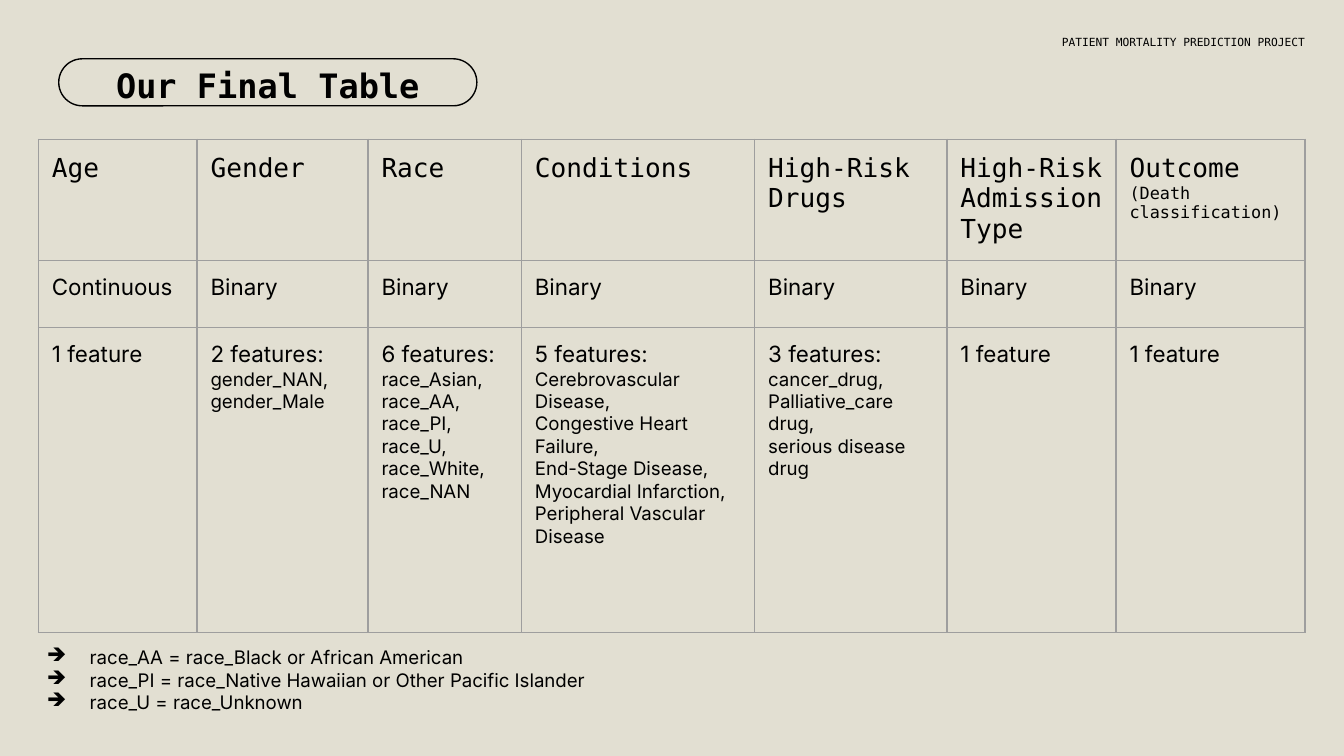
from dataclasses import dataclass

from lxml import etree
from pptx import Presentation
from pptx.dml.color import RGBColor
from pptx.enum.shapes import MSO_SHAPE
from pptx.enum.text import MSO_ANCHOR, PP_ALIGN
from pptx.oxml.ns import qn
from pptx.util import Pt

ROUNDED = MSO_SHAPE.ROUNDED_RECTANGLE
MIDDLE = MSO_ANCHOR.MIDDLE
CENTER = PP_ALIGN.CENTER
RIGHT = PP_ALIGN.RIGHT

MONO = "DejaVu Sans Mono"
SANS = "Inter"
INK = "000000"
PAPER = "E2DFD2"
GRID = "9E9E9E"
ROW_HEIGHTS = (56.2, 36, 163.4)


@dataclass(frozen=True)
class Column:
    width: float
    heading: str
    kind: str
    count: str
    features: tuple[str, ...] = ()
    subheading: str = ""


COLUMNS = (
    Column(85, "Age", "Continuous", "1 feature"),
    Column(91.6, "Gender", "Binary", "2 features:", ("gender_NAN, gender_Male",)),
    Column(82.2, "Race", "Binary", "6 features:",
           ("race_Asian,", "race_AA, race_PI, race_U,", "race_White, race_NAN")),
    Column(125, "Conditions", "Binary", "5 features:",
           ("Cerebrovascular Disease,", "Congestive Heart Failure,",
            "End-Stage Disease,", "Myocardial Infarction,",
            "Peripheral Vascular Disease")),
    Column(103, "High-Risk Drugs", "Binary", "3 features:",
           ("cancer_drug,", "Palliative_care drug,", "serious disease drug")),
    Column(90.6, "High-Risk Admission Type", "Binary", "1 feature"),
    Column(101.2, "Outcome", "Binary", "1 feature",
           subheading="(Death classification)"),
)
RACE_NOTES = (
    "race_AA = race_Black or African American",
    "race_PI = race_Native Hawaiian or Other Pacific Islander",
    "race_U = race_Unknown",
)


@dataclass(frozen=True)
class Line:
    text: str
    size: float
    font: str = SANS
    bold: bool = False


def rgb(value: str) -> RGBColor:
    return RGBColor.from_string(value)


def write(frame, lines: list[Line], align=None) -> None:
    """Fill a text frame with one paragraph per line."""
    frame.word_wrap = True
    for index, line in enumerate(lines):
        para = frame.add_paragraph() if index else frame.paragraphs[0]
        para.alignment = align
        span = para.add_run()
        span.text = line.text
        span.font.name = line.font
        span.font.size = Pt(line.size)
        span.font.bold = line.bold
        span.font.color.rgb = rgb(INK)


def set_margins(target, margin: float) -> None:
    target.margin_left = target.margin_right = Pt(margin)
    target.margin_top = target.margin_bottom = Pt(margin)


def add_text(page, left: float, top: float, width: float, height: float,
             lines: list[Line], align=None):
    frame = page.shapes.add_textbox(
        Pt(left), Pt(top), Pt(width), Pt(height)).text_frame
    set_margins(frame, 7.2)
    write(frame, lines, align)
    return frame


def add_arrow_bullet(para) -> None:
    properties = para._p.get_or_add_pPr()
    properties.set("marL", str(Pt(36)))
    properties.set("indent", str(Pt(-23)))
    color = etree.SubElement(properties, qn("a:buClr"))
    etree.SubElement(color, qn("a:srgbClr"), val=INK)
    etree.SubElement(properties, qn("a:buChar"), char="➔")


def add_borders(cell) -> None:
    properties = cell._tc.get_or_add_tcPr()
    for index, side in enumerate(("a:lnL", "a:lnR", "a:lnT", "a:lnB")):
        border = etree.Element(qn(side), w=str(Pt(0.75)))
        fill = etree.SubElement(border, qn("a:solidFill"))
        etree.SubElement(fill, qn("a:srgbClr"), val=GRID)
        properties.insert(index, border)


def add_title(page) -> None:
    box = page.shapes.add_shape(ROUNDED, Pt(31.5), Pt(31.5), Pt(224), Pt(25.2))
    box.adjustments[0] = 0.5
    box.shadow.inherit = False
    box.fill.background()
    box.line.color.rgb = rgb(INK)
    box.line.width = Pt(0.75)
    frame = box.text_frame
    frame.vertical_anchor = MIDDLE
    set_margins(frame, 3.6)
    write(frame, [Line("Our Final Table", 18, MONO, True)], CENTER)
    frame.paragraphs[0].line_spacing = 1.15


def add_feature_table(page) -> None:
    width = sum(column.width for column in COLUMNS)
    table = page.shapes.add_table(
        len(ROW_HEIGHTS), len(COLUMNS), Pt(20.6), Pt(74.6),
        Pt(width), Pt(sum(ROW_HEIGHTS))).table
    table.first_row = False
    table.horz_banding = False
    for row, height in zip(table.rows, ROW_HEIGHTS):
        row.height = Pt(height)
    for index, column in enumerate(COLUMNS):
        table.columns[index].width = Pt(column.width)
        heading = [Line(column.heading, 14, MONO)]
        if column.subheading:
            heading.append(Line(column.subheading, 9, MONO))
        features = [Line(feature, 10) for feature in column.features]
        contents = (heading, [Line(column.kind, 12)],
                    [Line(column.count, 12), *features])
        for row_index, lines in enumerate(contents):
            cell = table.cell(row_index, index)
            cell.fill.background()
            add_borders(cell)
            set_margins(cell, 7.2)
            write(cell.text_frame, lines)


def main() -> None:
    deck = Presentation()
    deck.slide_width, deck.slide_height = Pt(720), Pt(405)
    page = deck.slides.add_slide(deck.slide_layouts[6])
    page.background.fill.solid()
    page.background.fill.fore_color.rgb = rgb(PAPER)

    add_title(page)
    project = add_text(page, 556, 13, 150, 18.7,
                       [Line("PATIENT MORTALITY PREDICTION PROJECT", 6, MONO)], RIGHT)
    project.vertical_anchor = MIDDLE
    add_feature_table(page)
    notes = add_text(page, 5, 339, 459.4, 25.2,
                     [Line(note, 10) for note in RACE_NOTES])
    for para in notes.paragraphs:
        add_arrow_bullet(para)
    deck.save("out.pptx")


if __name__ == "__main__":
    main()
